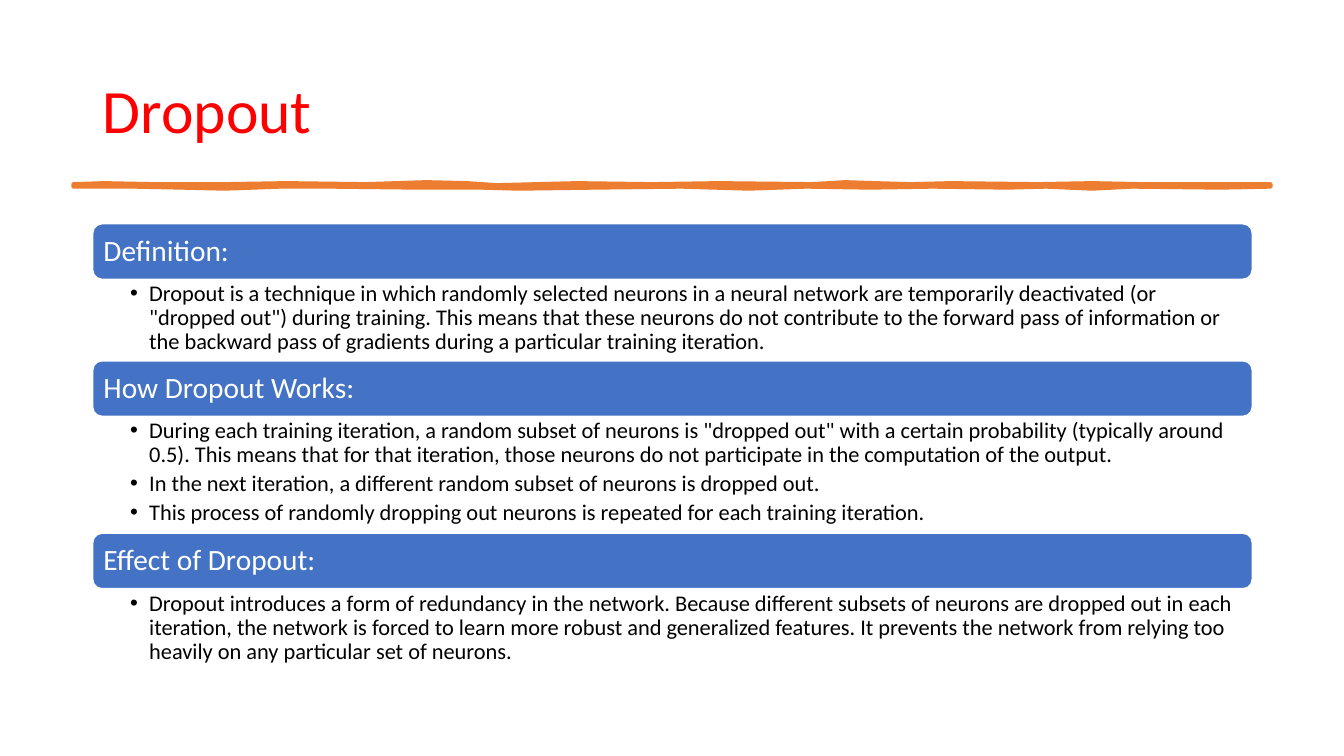
from pptx import Presentation
from pptx.dml.color import RGBColor
from pptx.enum.shapes import MSO_SHAPE
from pptx.enum.text import MSO_ANCHOR, MSO_AUTO_SIZE, PP_ALIGN
from pptx.oxml.ns import qn
from pptx.util import Pt
from lxml import etree

EMU_PER_PX = 9144  # 100 px to the inch
ROUNDED = MSO_SHAPE.ROUNDED_RECTANGLE
TOP, MIDDLE = MSO_ANCHOR.TOP, MSO_ANCHOR.MIDDLE
LEFT = PP_ALIGN.LEFT
NO_AUTOFIT = MSO_AUTO_SIZE.NONE

FONT = "Calibri"
COLORS = {
    "title": "FF0000",
    "rule": "ED7D31",
    "bar": "4472C4",
    "white": "FFFFFF",
    "body": "000000",
}

CONTENT_LEFT, CONTENT_WIDTH = 92, 1150
SECTIONS_TOP = 222
BAR_HEIGHT = 55

# heading, height of the text below it, bullets
SECTIONS = [
    ("Definition:", 81, [
        "Dropout is a technique in which randomly selected neurons in a neural network are "
        "temporarily deactivated (or \"dropped out\") during training. This means that these "
        "neurons do not contribute to the forward pass of information or the backward pass of "
        "gradients during a particular training iteration.",
    ]),
    ("How Dropout Works:", 116, [
        "During each training iteration, a random subset of neurons is \"dropped out\" with a "
        "certain probability (typically around 0.5). This means that for that iteration, those "
        "neurons do not participate in the computation of the output.",
        "In the next iteration, a different random subset of neurons is dropped out.",
        "This process of randomly dropping out neurons is repeated for each training iteration.",
    ]),
    ("Effect of Dropout:", 81, [
        "Dropout introduces a form of redundancy in the network. Because different subsets of "
        "neurons are dropped out in each iteration, the network is forced to learn more robust "
        "and generalized features. It prevents the network from relying too heavily on any "
        "particular set of neurons.",
    ]),
]

# Distance along the rule and height of each edge, relative to its top left
RULE_TOP_EDGE = [
    (0, 0), (30, -1), (80, 0), (150, 0), (211, -1), (290, 0), (350, -2), (390, -1),
    (420, 1), (460, 0), (499, -1), (573, 0), (640, -1), (733, 0), (765, -2),
    (795, -1), (830, 0), (870, -1), (956, 0), (1010, -1), (1060, 0), (1187, 0),
]
RULE_BOTTOM_EDGE = [
    (1187, 2), (1137, 3), (1050, 2), (1010, 4), (965, 2), (926, 3), (852, 2),
    (790, 3), (727, 2), (670, 4), (603, 2), (517, 3), (442, 4), (404, 3),
    (341, 3), (255, 2), (205, 2), (150, 4), (107, 3), (60, 2), (0, 2),
]


def px(length):
    return round(length * EMU_PER_PX)


def rgb(name):
    return RGBColor.from_string(COLORS[name])


def write_text(frame, lines, *, size, color, anchor=TOP, insets=(10, 5, 10, 5),
               space_after=0, bullet_indent=0):
    """Fill a text frame with one paragraph per line; a bullet indent adds bullets."""
    frame.word_wrap = True
    frame.auto_size = NO_AUTOFIT
    frame.vertical_anchor = anchor
    frame.margin_left, frame.margin_top, frame.margin_right, frame.margin_bottom = map(px, insets)
    for index, line in enumerate(lines):
        paragraph = frame.paragraphs[0] if index == 0 else frame.add_paragraph()
        paragraph.alignment = LEFT
        paragraph.line_spacing = 0.9
        paragraph.space_before = Pt(0)
        paragraph.space_after = Pt(space_after)
        run = paragraph.add_run()
        run.text = line
        run.font.name = FONT
        run.font.size = Pt(size)
        run.font.color.rgb = rgb(color)
        if bullet_indent:
            paragraph.level = 1
            properties = paragraph._p.get_or_add_pPr()
            properties.set("marL", str(px(bullet_indent)))
            properties.set("indent", str(-px(bullet_indent)))
            etree.SubElement(properties, qn("a:buFont")).set("typeface", "Arial")
            etree.SubElement(properties, qn("a:buChar")).set("char", "•")


def paint(shape, fill, line, line_width):
    shape.shadow.inherit = False
    shape.fill.solid()
    shape.fill.fore_color.rgb = rgb(fill)
    shape.line.color.rgb = rgb(line)
    shape.line.width = Pt(line_width)


def place_title(slide, left, top, width, height):
    title = slide.shapes.title
    title.left, title.top, title.width, title.height = map(px, (left, top, width, height))
    write_text(title.text_frame, ["Dropout"], size=44, color="title", anchor=MIDDLE)


def draw_wavy_rule(slide, left, top):
    start, *others = [(px(left + x), px(top + y)) for x, y in RULE_TOP_EDGE + RULE_BOTTOM_EDGE]
    builder = slide.shapes.build_freeform(*start)
    builder.add_line_segments(others, close=True)
    paint(builder.convert_to_shape(), "rule", "rule", 3.25)


def add_section(slide, heading, bullets, left, top, width, body_height):
    bar = slide.shapes.add_shape(ROUNDED, *map(px, (left, top, width, BAR_HEIGHT)))
    paint(bar, "bar", "white", 1)
    write_text(bar.text_frame, [heading], size=21, color="white", anchor=MIDDLE,
               insets=(8, 9, 8, 9))
    body = slide.shapes.add_textbox(*map(px, (left, top + BAR_HEIGHT, width, body_height)))
    write_text(body.text_frame, bullets, size=16, color="body", insets=(37, 3, 16, 3),
               space_after=3.2, bullet_indent=19)


def main():
    presentation = Presentation()
    presentation.slide_width, presentation.slide_height = px(1333), px(750)
    slide = presentation.slides.add_slide(presentation.slide_layouts[5])

    place_title(slide, CONTENT_LEFT, 40, CONTENT_WIDTH, 145)
    draw_wavy_rule(slide, 73, 183)
    top = SECTIONS_TOP
    for heading, body_height, bullets in SECTIONS:
        add_section(slide, heading, bullets, CONTENT_LEFT, top, CONTENT_WIDTH, body_height)
        top += BAR_HEIGHT + body_height

    presentation.save("out.pptx")


if __name__ == "__main__":
    main()
